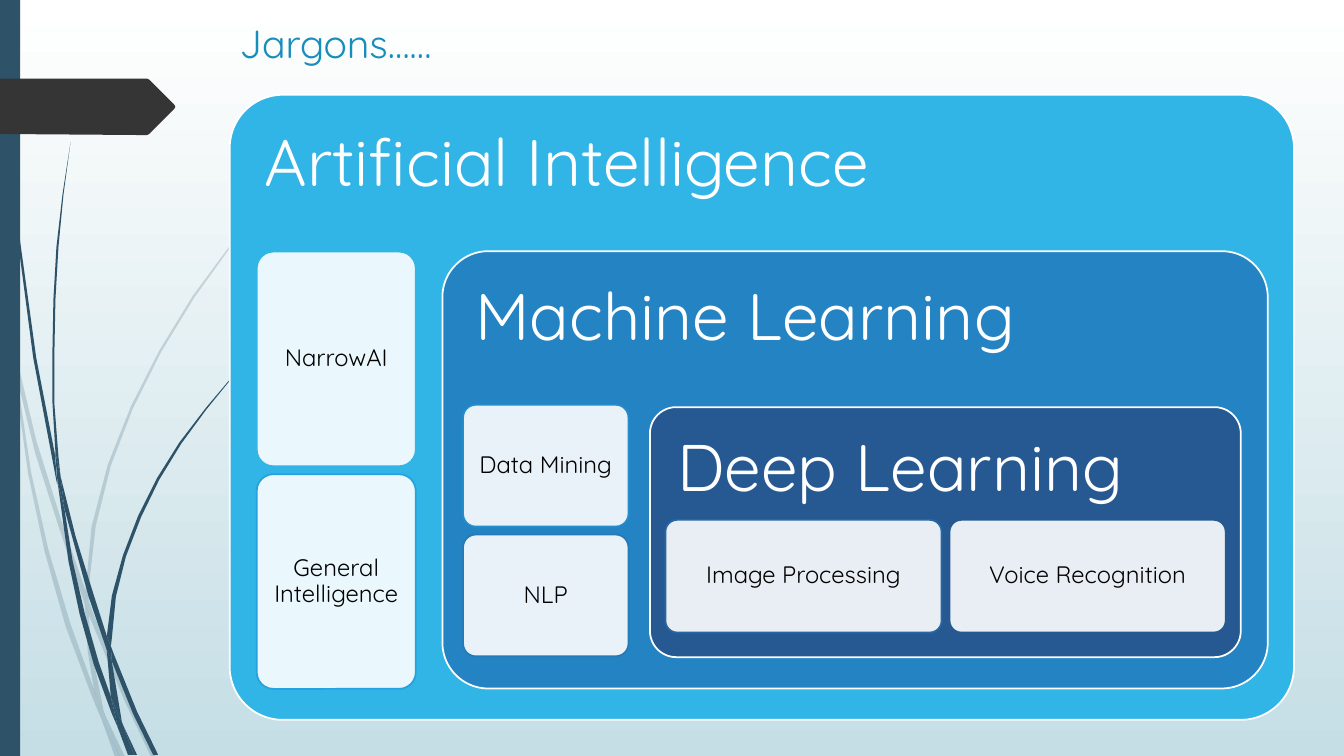
from lxml import etree
from pptx import Presentation
from pptx.dml.color import RGBColor
from pptx.enum import shapes, text
from pptx.oxml.ns import qn
from pptx.util import Cm, Pt

NAVY, WHITE = "2E5369", "FFFFFF"


def paint(sp, fill, line=None, alpha=100):
    sp.shadow.inherit = False
    sp.fill.solid()
    sp.fill.fore_color.rgb = RGBColor.from_string(fill)
    if alpha < 100:
        clr = sp.element.spPr.find(qn("a:solidFill")).find(qn("a:srgbClr"))
        etree.SubElement(clr, qn("a:alpha")).set("val", str(alpha * 1000))
    if line:
        sp.line.color.rgb = RGBColor.from_string(line)
        sp.line.width = Pt(1.25)
    else:
        sp.line.fill.background()


def write(sp, words, size, color, inset, align=text.PP_ALIGN.LEFT,
          anchor=text.MSO_ANCHOR.TOP, spacing=0.9):
    tf = sp.text_frame
    tf.word_wrap = True
    tf.auto_size = text.MSO_AUTO_SIZE.NONE
    tf.vertical_anchor = anchor
    tf.margin_left = tf.margin_right = tf.margin_top = tf.margin_bottom = Cm(inset)
    p = tf.paragraphs[0]
    p.alignment = align
    p.line_spacing = spacing
    r = p.add_run()
    r.text = words
    r.font.name = "Quicksand"
    r.font.size = Pt(size)
    r.font.color.rgb = RGBColor.from_string(color)


prs = Presentation()
prs.slide_width, prs.slide_height = Cm(33.87), Cm(19.05)
s = prs.slides.add_slide(prs.slide_layouts[5])

# Background gradient, white at the top
bg = s.background.fill
bg.gradient()
bg.gradient_angle = 270
for stop, color in zip(bg.gradient_stops, (WHITE, "C5DEE5")):
    stop.color.rgb = RGBColor.from_string(color)

# Grass blades: outlines on a grid of 100 units to 2.54 cm
pale_blades = [
    [(11, 350), (9, 322), (0, 282), (0, 299), (10, 344)],
    [(58, 522), (84, 599), (85, 586), (62, 520), (36, 437), (14, 345), (17, 376), (35, 450)],
    [(92, 607), (88, 596), (88, 610), (123, 694), (150, 751), (155, 751), (127, 692)],
    [(119, 751), (124, 751), (105, 711)],
    [(93, 683), (70, 619), (48, 545), (31, 469), (17, 376), (11, 350), (28, 470),
     (44, 546), (65, 621), (92, 693), (101, 714), (99, 707)],
    [(84, 599), (87, 646), (93, 683), (96, 692), (105, 711), (103, 706), (91, 646),
     (88, 610), (88, 608)],
    [(88, 584), (95, 522), (110, 462), (132, 405), (160, 349), (193, 295), (229, 245),
     (268, 198), (290, 175), (312, 154), (312, 153), (289, 175), (268, 197), (228, 244),
     (191, 294), (158, 348), (130, 403), (107, 461), (91, 522), (85, 584), (85, 586),
     (88, 596)],
    [(101, 714), (114, 751), (119, 751)],
    [(88, 608), (88, 610), (88, 596), (85, 586), (84, 599)],
    [(96, 692), (93, 683), (99, 707), (101, 714), (119, 751), (105, 711)],
]
dark_blades = [
    [(7, 110), (17, 233), (33, 355), (56, 477), (57, 481), (55, 457), (55, 453),
     (36, 355), (19, 232), (8, 109), (5, 48), (4, 0), (3, 0), (4, 48)],
    [(88, 592), (106, 645), (106, 633), (106, 631), (93, 590), (75, 532), (60, 472),
     (64, 505)],
    [(113, 649), (110, 641), (111, 656), (132, 708), (152, 749), (157, 749), (136, 706)],
    [(110, 691), (98, 657), (84, 608), (72, 556), (64, 505), (57, 477), (68, 557),
     (79, 609), (93, 659), (111, 708), (117, 722), (116, 717)],
    [(60, 472), (58, 453), (54, 401), (54, 349), (55, 297), (58, 245), (63, 193),
     (70, 141), (62, 193), (56, 245), (53, 297), (52, 349), (52, 399), (55, 449)],
    [(133, 749), (136, 749), (122, 719)],
    [(57, 477), (64, 505), (60, 472), (55, 449), (55, 453)],
    [(111, 633), (115, 592), (125, 552), (140, 513), (158, 476), (180, 440), (205, 406),
     (231, 374), (245, 359), (261, 344), (260, 344), (245, 358), (231, 373), (204, 405),
     (178, 439), (156, 474), (137, 512), (122, 551), (111, 591), (106, 631), (110, 641)],
    [(117, 722), (127, 749), (131, 749)],
    [(106, 645), (110, 691), (116, 706), (122, 719), (121, 716), (111, 656), (109, 651)],
    [(106, 645), (109, 651), (111, 656), (110, 641), (106, 631), (106, 633)],
    [(116, 706), (110, 691), (116, 717), (117, 722), (130, 749), (133, 749), (122, 719)],
]
for blades, alpha in ((pale_blades, 20), (dark_blades, 100)):
    for first, *others in blades:
        fb = s.shapes.build_freeform(*first, scale=Cm(2.54) / 100)
        fb.add_line_segments(others, close=True)
        paint(fb.convert_to_shape(), NAVY, alpha=alpha)

# Side bar and page marker
bar = s.shapes.add_shape(shapes.MSO_SHAPE.RECTANGLE, 0, 0, Cm(0.51), Cm(19.05))
paint(bar, NAVY)
fb = s.shapes.build_freeform(173, 108, scale=Cm(2.54) / 100)
fb.add_line_segments([(148, 133), (146, 134), (136, 134), (0, 133), (0, 78), (136, 78),
                      (146, 78), (148, 79), (173, 104), (174, 106)], close=True)
paint(fb.convert_to_shape(), "353535")

# Title
title = s.shapes.title
title.left, title.top, title.width, title.height = Cm(5.79), Cm(0.36), Cm(26.16), Cm(4.93)
write(title, "Jargons……", 28, "178DBB", 0.25, spacing=1)
title.text_frame.margin_top = title.text_frame.margin_bottom = Cm(0.13)

# Nested fields: name, box, corner, fill, first topic box, stacked or side by side, topics
GAP = 0.2
fields = [
    ("Artificial Intelligence", (5.79, 2.39, 26.82, 15.75), 0.085, "31B4E6",
     (6.47, 6.34, 4.01, 5.41), True,
     [("NarrowAI", "31B4E6"), ("General Intelligence", "25A2DF")]),
    ("Machine Learning", (11.15, 6.33, 20.8, 11.02), 0.105, "2483C3",
     (11.67, 10.2, 4.17, 3.07), True,
     [("Data Mining", "248DCD"), ("NLP", "257AB8")]),
    ("Deep Learning", (16.38, 10.26, 14.89, 6.3), 0.105, "265991",
     (16.77, 13.1, 6.96, 2.84), False,
     [("Image Processing", "2668A4"), ("Voice Recognition", "265991")]),
]
for name, box, corner, fill, (x, y, w, h), stacked, topics in fields:
    sp = s.shapes.add_shape(shapes.MSO_SHAPE.ROUNDED_RECTANGLE, *map(Cm, box))
    sp.adjustments[0] = corner
    paint(sp, fill, WHITE)
    write(sp, name, 47, WHITE, 0.49)
    for topic, edge in topics:
        sp = s.shapes.add_shape(shapes.MSO_SHAPE.ROUNDED_RECTANGLE,
                                Cm(x), Cm(y), Cm(w), Cm(h))
        sp.adjustments[0] = 0.105
        paint(sp, WHITE, edge, alpha=90)
        write(sp, topic, 17, "000000", 0.18, align=text.PP_ALIGN.CENTER,
              anchor=text.MSO_ANCHOR.MIDDLE)
        if stacked:
            y += h + GAP
        else:
            x += w + GAP

prs.save("out.pptx")
